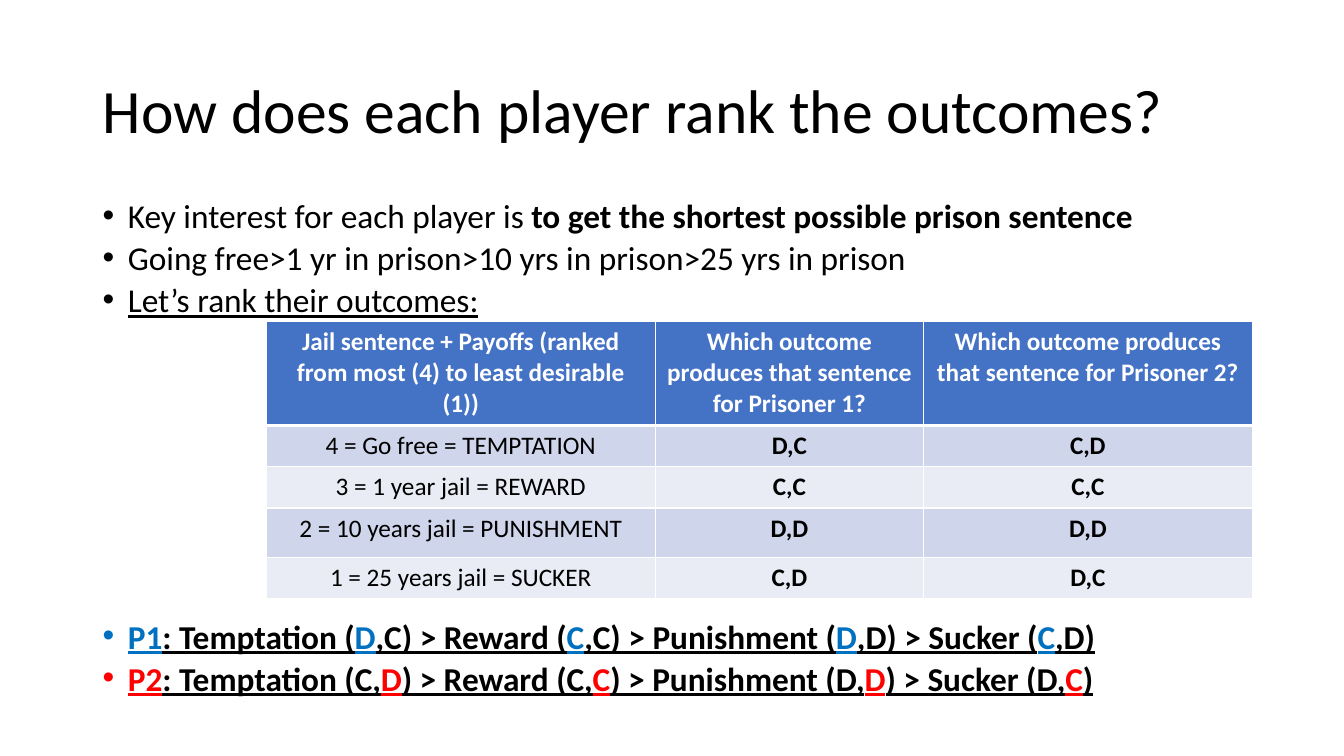
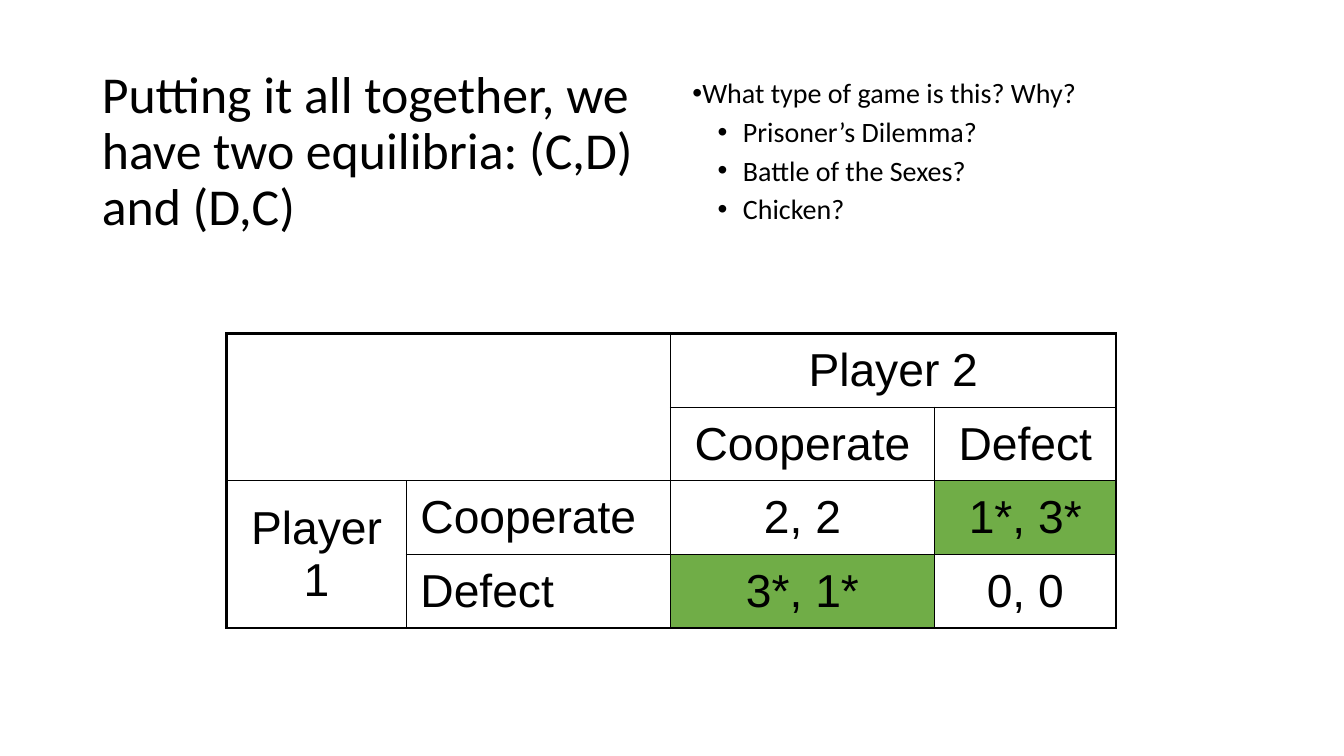
from lxml import etree
from pptx import Presentation
from pptx.dml.color import RGBColor
from pptx.enum.text import MSO_ANCHOR, MSO_AUTO_SIZE, PP_ALIGN
from pptx.oxml.ns import qn
from pptx.util import Inches, Pt

LEFT, CENTER = PP_ALIGN.LEFT, PP_ALIGN.CENTER
TOP, MIDDLE = MSO_ANCHOR.TOP, MSO_ANCHOR.MIDDLE
NO_AUTOFIT = MSO_AUTO_SIZE.NONE
TITLE_ONLY = 5

BODY_FONT, MATRIX_FONT = "Calibri", "Arial"
BLACK, WHITE = "000000", "FFFFFF"
BLUE, RED = "0070C0", "FF0000"
HEADER, BAND_DARK, BAND_LIGHT = "4472C4", "CFD5EA", "E9EBF5"
GREEN = "70AD47"

RANKS = [
    ("4 = Go free = TEMPTATION", "Temptation", "DC"),
    ("3 = 1 year jail = REWARD", "Reward", "CC"),
    ("2 = 10 years jail = PUNISHMENT", "Punishment", "DD"),
    ("1 = 25 years jail = SUCKER", "Sucker", "CD"),
]


def rgb(color):
    """Turn a hex string into a colour."""
    return RGBColor.from_string(color)


def add_run(p, text, size=18, font=BODY_FONT, color=BLACK, bold=False, underline=False):
    """Add one formatted run to a paragraph."""
    r = p.add_run()
    r.text = text
    r.font.name, r.font.size = font, Pt(size)
    r.font.bold, r.font.underline = bold, underline
    r.font.color.rgb = rgb(color)


def add_bullet(p, margin):
    """Give a paragraph a hanging round bullet."""
    pPr = p._p.get_or_add_pPr()
    pPr.set("marL", str(Inches(margin)))
    pPr.set("indent", str(Inches(-0.25)))
    etree.SubElement(pPr, qn("a:buFont")).set("typeface", "Arial")
    etree.SubElement(pPr, qn("a:buChar")).set("char", "•")


def add_slide(prs, title, box, size):
    """Add a title-only slide with its title placed and formatted."""
    s = prs.slides.add_slide(prs.slide_layouts[TITLE_ONLY])
    sp = s.shapes.title
    sp.left, sp.top, sp.width, sp.height = map(Inches, box)
    tf = sp.text_frame
    tf.word_wrap, tf.auto_size, tf.vertical_anchor = True, NO_AUTOFIT, MIDDLE
    p = tf.paragraphs[0]
    p.alignment, p.line_spacing = LEFT, 0.9
    add_run(p, title, size=size)
    return s


def add_bullets(s, box, items, size, spacing, before=0, after=0, anchor=TOP):
    """Add a bulleted text box from (margin, runs) items."""
    tf = s.shapes.add_textbox(*map(Inches, box)).text_frame
    tf.word_wrap, tf.vertical_anchor = True, anchor
    for i, (margin, runs) in enumerate(items):
        p = tf.add_paragraph() if i else tf.paragraphs[0]
        add_bullet(p, margin)
        p.line_spacing = spacing
        p.space_before, p.space_after = Pt(before if i else 0), Pt(after)
        for text, style in runs:
            add_run(p, text, size=size, **style)


def set_borders(cell, color, **widths):
    """Draw cell borders, with widths in points keyed L, R, T and B."""
    tcPr = cell._tc.get_or_add_tcPr()
    for side, width in widths.items():
        ln = etree.SubElement(tcPr, qn(f"a:ln{side}"), w=str(Pt(width)))
        fill = etree.SubElement(ln, qn("a:solidFill"))
        etree.SubElement(fill, qn("a:srgbClr"), val=color)


def add_table(s, left, top, cols, rows):
    """Add a table with the given column widths and row heights."""
    table = s.shapes.add_table(
        len(rows), len(cols), Inches(left), Inches(top),
        Inches(sum(cols)), Inches(sum(rows))).table
    for col, width in zip(table.columns, cols):
        col.width = Inches(width)
    for row, height in zip(table.rows, rows):
        row.height = Inches(height)
    return table


def fill_cell(cell, text, fill=None, align=CENTER, **style):
    """Set the fill and text of a cell."""
    if fill:
        cell.fill.solid()
        cell.fill.fore_color.rgb = rgb(fill)
    else:
        cell.fill.background()
    if text:
        p = cell.text_frame.paragraphs[0]
        p.alignment = align
        add_run(p, text, **style)


def add_rank_table(s):
    """Add the table of sentences and the outcomes that produce them."""
    data = [["Jail sentence + Payoffs (ranked from most (4) to least desirable (1))",
             "Which outcome produces that sentence for Prisoner 1?",
             "Which outcome produces that sentence for Prisoner 2?"]]
    data += [[label, ",".join(moves), ",".join(reversed(moves))]
             for label, _, moves in RANKS]
    table = add_table(s, 2.64, 3.19, [3.86, 2.66, 3.26], [1.03, 0.41, 0.41, 0.49, 0.41])
    for i, row in enumerate(data):
        fill = HEADER if i == 0 else BAND_DARK if i % 2 else BAND_LIGHT
        for j, text in enumerate(row):
            cell = table.cell(i, j)
            set_borders(cell, WHITE, L=1, R=1, T=3 if i == 1 else 1, B=1 if i else 3)
            fill_cell(cell, text, fill, color=BLACK if i else WHITE,
                      bold=i == 0 or j > 0)


def add_payoff_matrix(s):
    """Add the two-player payoff matrix with its equilibria filled."""
    data = [["", "", "Player 2", ""],
            ["", "", "Cooperate", "Defect"],
            ["Player 1", "Cooperate", "2, 2", "1*, 3*"],
            ["", "Defect", "3*, 1*", "0, 0"]]
    table = add_table(s, 2.25, 3.31, [1.78, 2.62, 2.62, 1.8], [0.73] * 4)
    table.first_row = table.horz_banding = False
    for first, last in [((0, 0), (1, 1)), ((0, 2), (0, 3)), ((2, 0), (3, 0))]:
        table.cell(*first).merge(table.cell(*last))
    for i, row in enumerate(data):
        for j, text in enumerate(row):
            cell = table.cell(i, j)
            edges = {"L": j == 0, "R": j + cell.span_width == 4,
                     "T": i == 0, "B": i + cell.span_height == 4}
            set_borders(cell, BLACK, **{k: 2.25 if outer else 1 for k, outer in edges.items()})
            cell.vertical_anchor = MIDDLE
            cell.margin_left = cell.margin_right = Inches(0.14)
            cell.margin_top = cell.margin_bottom = Inches(0.07)
            fill_cell(cell, text, GREEN if "*" in text else None,
                      LEFT if j == 1 else CENTER, size=33, font=MATRIX_FONT)


def ranking(player, color):
    """Build the runs that rank the outcomes, with the player's own moves coloured."""
    plain = {"bold": True, "underline": True}
    own = {**plain, "color": color}
    runs = [(f"P{player}", own)]
    lead = ": "
    for _, name, (mine, other) in RANKS:
        if player == 1:
            runs += [(f"{lead}{name} (", plain), (mine, own)]
            lead = f",{other}) > "
        else:
            runs += [(f"{lead}{name} ({other},", plain), (mine, own)]
            lead = ") > "
    return runs + [(lead.removesuffix(" > "), plain)]


def build_ranking_slide(prs):
    """Build the slide that ranks the outcomes."""
    s = add_slide(prs, "How does each player rank the outcomes?", (0.92, 0.4, 11.5, 1.45), 44)
    points = [
        [("Key interest for each player is ", {}),
         ("to get the shortest possible prison sentence", {"bold": True})],
        [("Going free>1 yr in prison>10 yrs in prison>25 yrs in prison", {})],
        [("Let’s rank their outcomes:", {"underline": True})],
    ]
    rankings = [ranking(1, BLUE), ranking(2, RED)]
    for top, height, lines in [(2, 1.2, points), (6.17, 0.93, rankings)]:
        add_bullets(s, (0.92, top, 11.5, height), [(0.25, runs) for runs in lines],
                    size=23.8, spacing=0.7, before=10)
    add_rank_table(s)


def build_equilibria_slide(prs):
    """Build the slide that shows the equilibria."""
    s = add_slide(prs, "Putting it all together, we have two equilibria: (C,D) and (D,C)",
                  (0.91, 0.6, 5.65, 1.83), 37)
    games = ["Prisoner’s Dilemma?", "Battle of the Sexes?", "Chicken?"]
    items = [(0, [("What type of game is this? Why?", {})])]
    items += [(0.5, [(game, {})]) for game in games]
    add_bullets(s, (6.77, 0.6, 5.64, 1.83), items, size=20, spacing=0.9,
                after=6, anchor=MIDDLE)
    add_payoff_matrix(s)


def main():
    """Build and save the presentation."""
    prs = Presentation()
    prs.slide_width, prs.slide_height = Inches(13.33), Inches(7.5)
    build_ranking_slide(prs)
    build_equilibria_slide(prs)
    prs.save("out.pptx")


if __name__ == "__main__":
    main()
